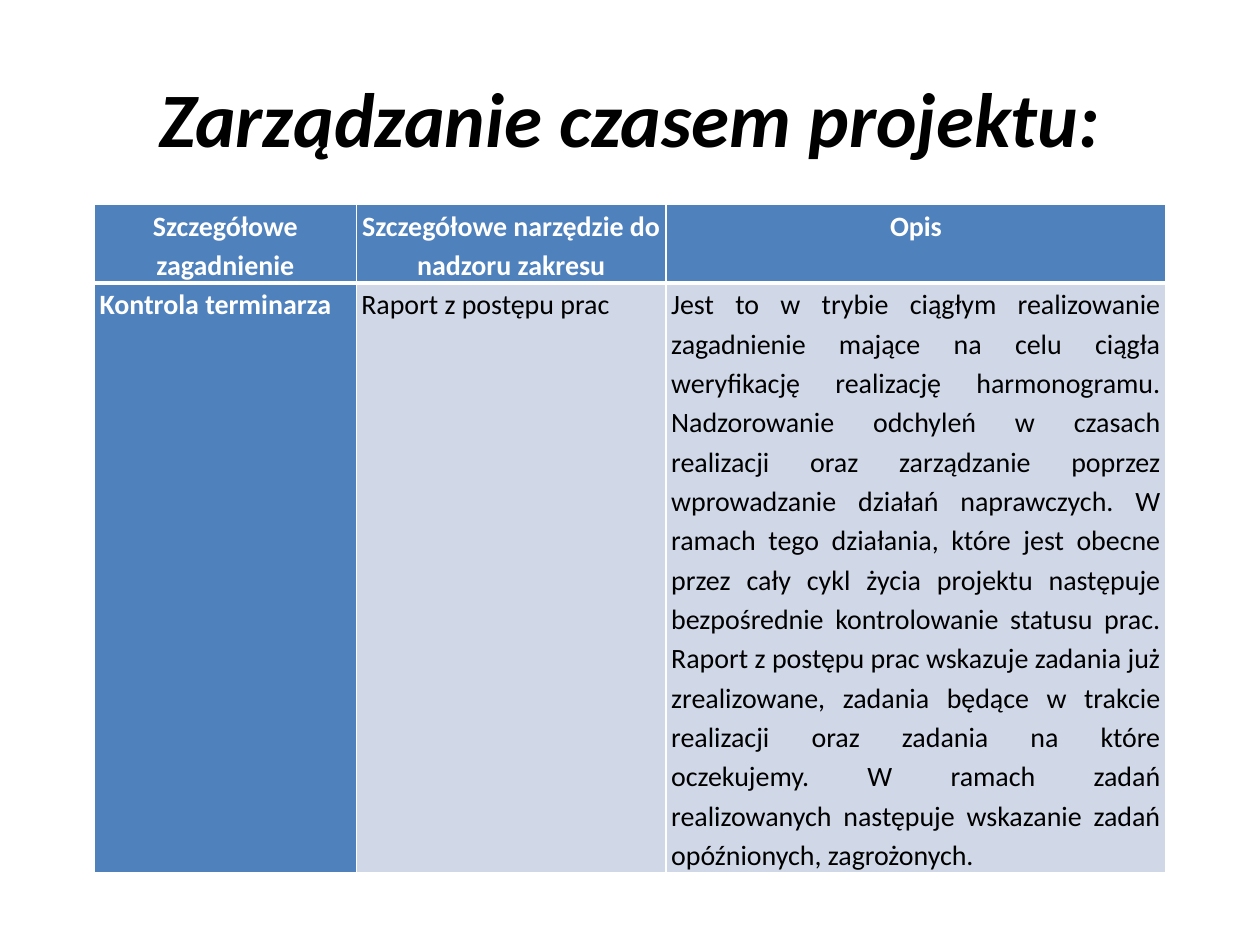
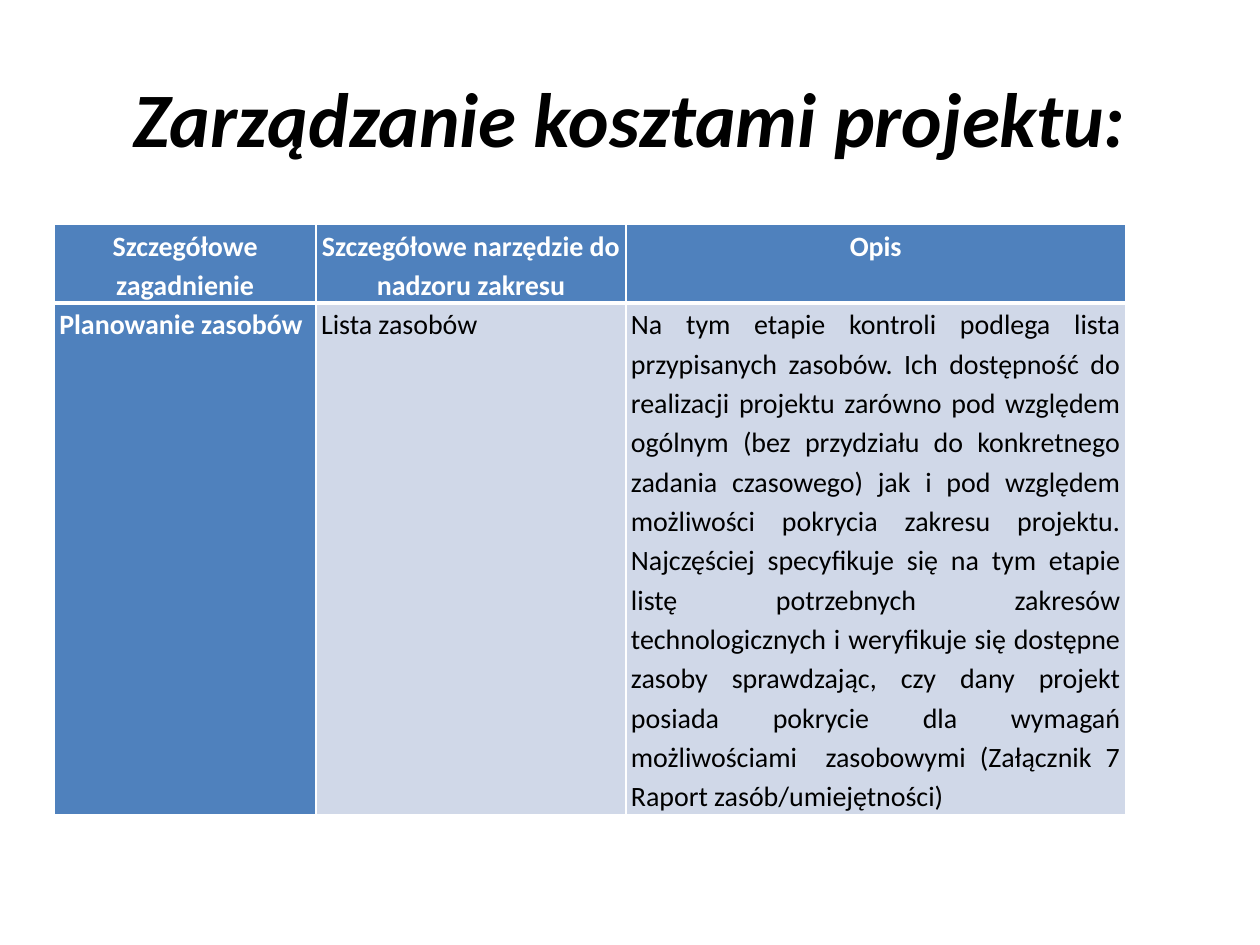
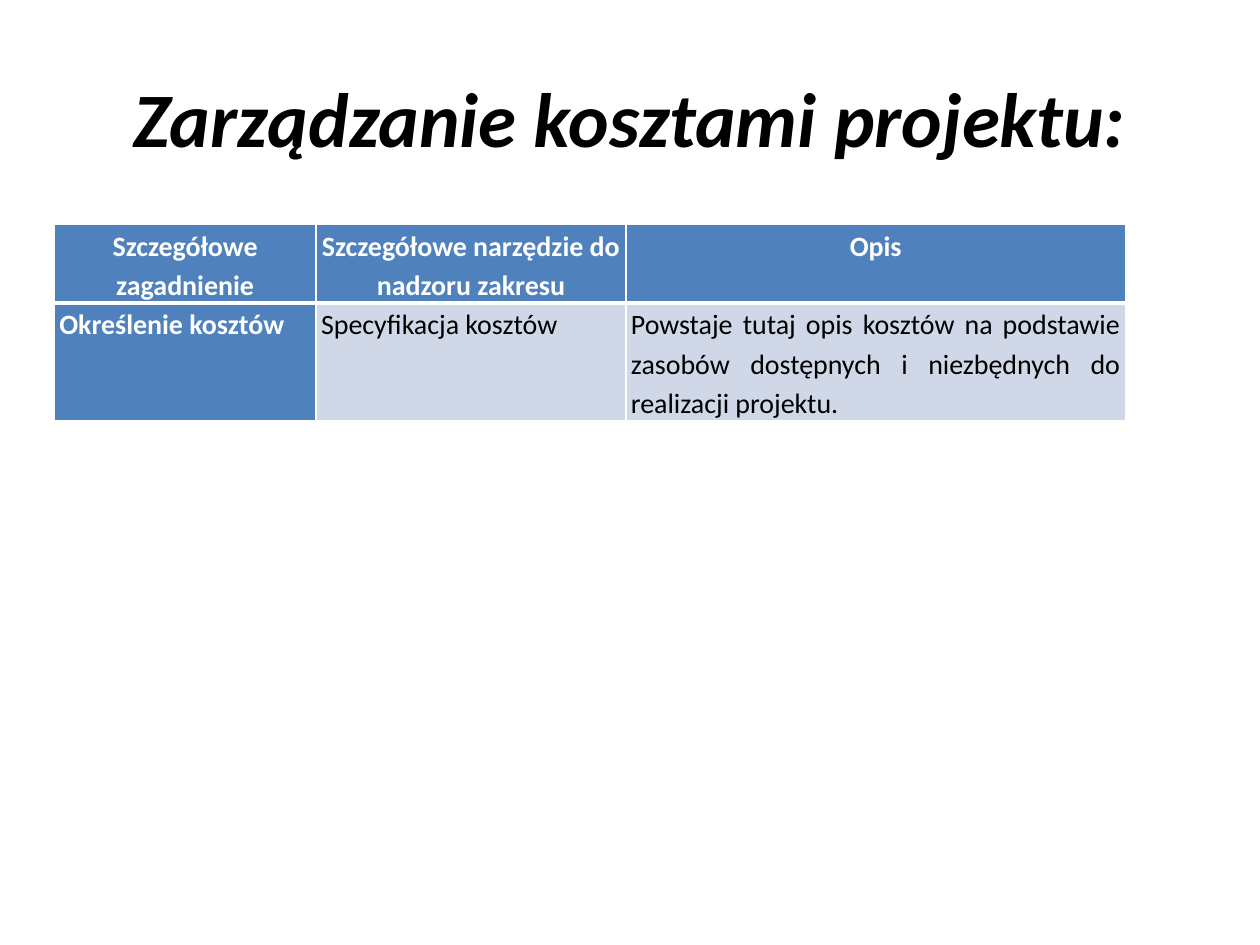
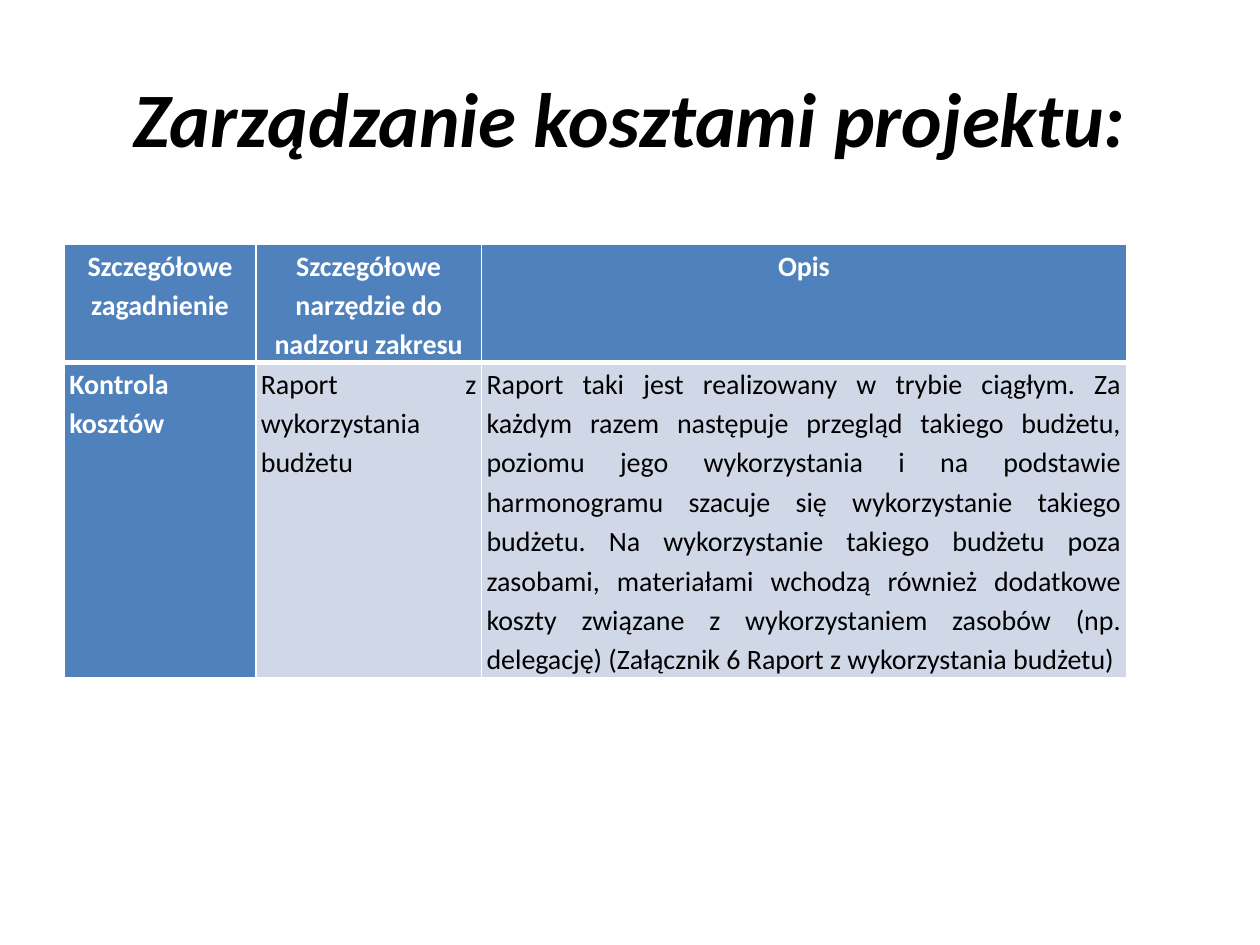
"""Build four slides with tables on project time and cost management."""
from pptx import Presentation
from pptx.dml.color import RGBColor
from pptx.enum.text import MSO_ANCHOR, PP_ALIGN
from pptx.oxml import parse_xml
from pptx.oxml.ns import nsdecls
from pptx.util import Pt

FONT = "Calibri"
BLACK = RGBColor(0x00, 0x00, 0x00)
WHITE = RGBColor(0xFF, 0xFF, 0xFF)
BLUE = RGBColor(0x4F, 0x81, 0xBD)
PALE = RGBColor(0xD0, 0xD8, 0xE8)

HEADINGS = ["Szczegółowe zagadnienie", "Szczegółowe narzędzie do nadzoru zakresu", "Opis"]
TIME = "Zarządzanie czasem projektu:"
COSTS = "Zarządzanie kosztami projektu:"
WIDE = (149.6, 177.1, 285.5)
NARROW = (109.5, 129, 368.5)

SLIDES = [
    (TIME, (54, 116.8, 373), WIDE, (34, 220), [
        "Kontrola terminarza",
        "Raport z postępu prac",
        "Jest to w trybie ciągłym realizowanie zagadnienie mające na celu ciągła "
        "weryfikację realizację harmonogramu. Nadzorowanie odchyleń w czasach realizacji "
        "oraz zarządzanie poprzez wprowadzanie działań naprawczych. W ramach tego działania, "
        "które jest obecne przez cały cykl życia projektu następuje bezpośrednie "
        "kontrolowanie statusu prac. Raport z postępu prac wskazuje zadania już "
        "zrealizowane, zadania będące w trakcie realizacji oraz zadania na które oczekujemy. "
        "W ramach zadań realizowanych następuje wskazanie zadań opóźnionych, zagrożonych."]),
    (COSTS, (31, 128.2, 328.3), WIDE, (42, 210), [
        "Planowanie zasobów",
        "Lista zasobów",
        "Na tym etapie kontroli podlega lista przypisanych zasobów. Ich dostępność do "
        "realizacji projektu zarówno pod względem ogólnym (bez przydziału do konkretnego "
        "zadania czasowego) jak i pod względem możliwości pokrycia zakresu projektu. "
        "Najczęściej specyfikuje się na tym etapie listę potrzebnych zakresów "
        "technologicznych i weryfikuje się dostępne zasoby sprawdzając, czy dany projekt "
        "posiada pokrycie dla wymagań możliwościami  zasobowymi "
        "(Załącznik 7 Raport zasób/umiejętności)"]),
    (COSTS, (31, 128.2, 108), WIDE, (42, 42), [
        "Określenie kosztów",
        "Specyfikacja kosztów",
        "Powstaje tutaj opis kosztów na podstawie zasobów dostępnych i niezbędnych do "
        "realizacji projektu."]),
    (COSTS, (36.7, 139.7, 240.5), NARROW, (37.5, 113), [
        "Kontrola kosztów",
        "Raport z wykorzystania budżetu",
        "Raport taki jest realizowany w trybie ciągłym. Za każdym razem następuje przegląd "
        "takiego budżetu, poziomu jego wykorzystania i na podstawie harmonogramu szacuje się "
        "wykorzystanie takiego budżetu. Na wykorzystanie takiego budżetu poza zasobami, "
        "materiałami wchodzą również dodatkowe koszty związane z wykorzystaniem zasobów "
        "(np. delegację) (Załącznik 6 Raport z wykorzystania budżetu)"]),
]


def write(tf, text, size=16, color=BLACK, bold=False, italic=False,
          align=PP_ALIGN.JUSTIFY, spacing=None):
    p = tf.paragraphs[0]
    p.alignment = align
    p.line_spacing = spacing
    r = p.add_run()
    r.text = text
    r.font.name = FONT
    r.font.size = Pt(size)
    r.font.bold = bold
    r.font.italic = italic
    r.font.color.rgb = color


def add_borders(cell, **widths):
    tc_pr = cell._tc.get_or_add_tcPr()
    for side, width in widths.items():
        tc_pr.append(parse_xml(
            f'<a:ln{side} {nsdecls("a")} w="{Pt(width)}"><a:solidFill>'
            f'<a:srgbClr val="{WHITE}"/></a:solidFill></a:ln{side}>'))


prs = Presentation()
prs.slide_width, prs.slide_height = Pt(720), Pt(540)

for title, (left, top, height), widths, heights, entries in SLIDES:
    s = prs.slides.add_slide(prs.slide_layouts[5])
    sp = s.shapes.title
    sp.left, sp.top, sp.width, sp.height = Pt(36), Pt(21.6), Pt(648), Pt(90)
    sp.text_frame.vertical_anchor = MSO_ANCHOR.MIDDLE
    write(sp.text_frame, title, size=44, bold=True, italic=True, align=PP_ALIGN.CENTER)

    frame = s.shapes.add_table(2, 3, Pt(left), Pt(top), Pt(sum(widths)), Pt(height))
    table = frame.table
    for column, width in zip(table.columns, widths):
        column.width = Pt(width)
    for row, row_height in zip(table.rows, heights):
        row.height = Pt(row_height)
    frame.height = Pt(height)

    for i, texts in enumerate([HEADINGS, entries]):
        for j, text in enumerate(texts):
            cell = table.cell(i, j)
            heading = i == 0
            strong = heading or j == 0
            cell.margin_left = cell.margin_right = Pt(2.9)
            cell.margin_top = cell.margin_bottom = Pt(0)
            add_borders(cell, L=1, R=1, T=1 if heading else 3, B=3 if heading else 1)
            cell.fill.solid()
            cell.fill.fore_color.rgb = BLUE if strong else PALE
            write(cell.text_frame, text, color=WHITE if strong else BLACK, bold=strong,
                  align=PP_ALIGN.CENTER if heading else PP_ALIGN.JUSTIFY, spacing=1.15)

prs.save("out.pptx")
